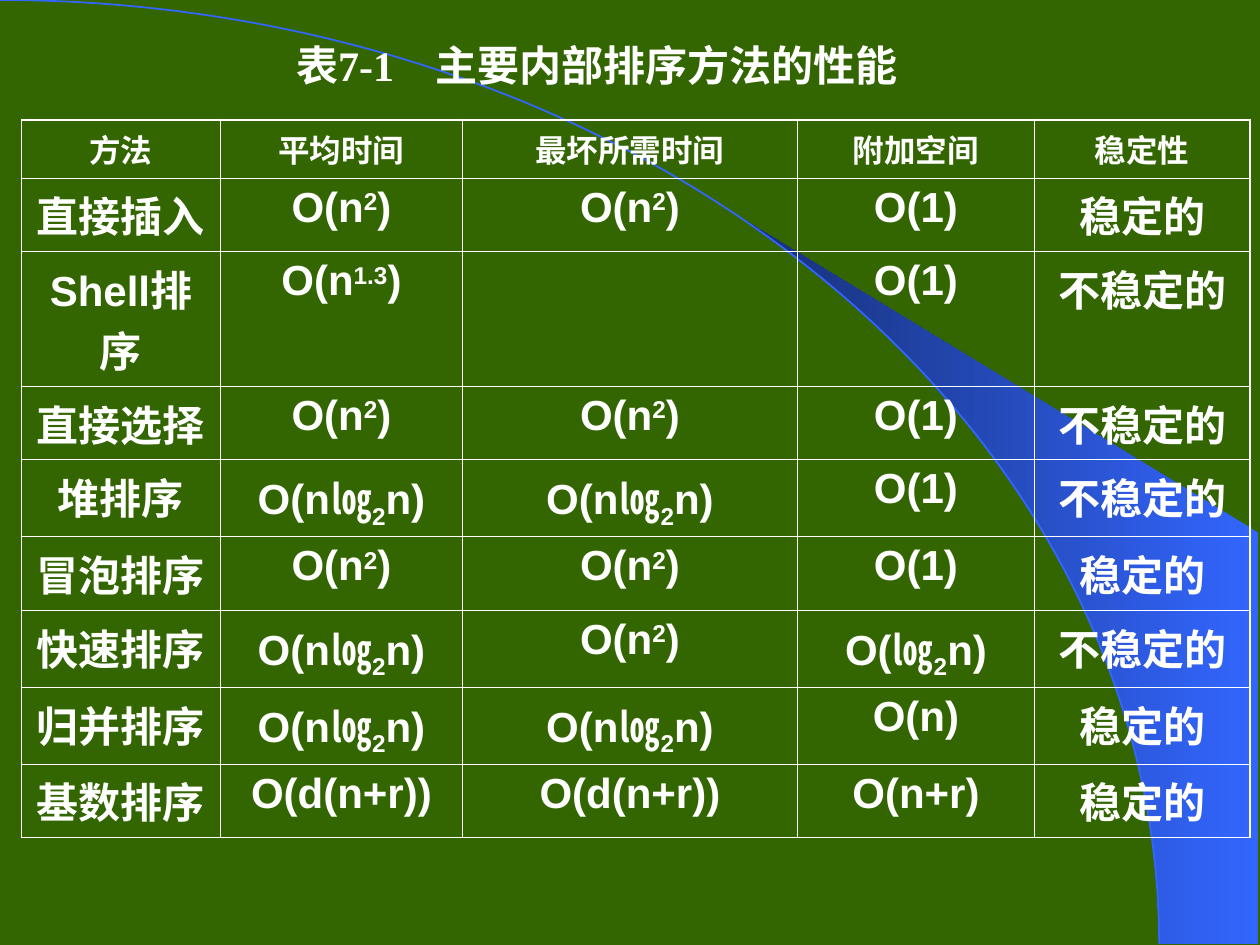
"""Build a slide that tabulates the performance of internal sorting methods."""
from dataclasses import dataclass
from math import acos, cos, sin

from lxml import etree
from pptx import Presentation
from pptx.dml.color import RGBColor
from pptx.enum.shapes import MSO_SHAPE
from pptx.enum.text import MSO_ANCHOR, MSO_AUTO_SIZE, PP_ALIGN
from pptx.oxml.ns import qn
from pptx.util import Inches, Pt

ARC = MSO_SHAPE.ARC
CENTER, LEFT = PP_ALIGN.CENTER, PP_ALIGN.LEFT
MIDDLE = MSO_ANCHOR.MIDDLE
NO_AUTOFIT = MSO_AUTO_SIZE.NONE

COLORS = {"ground": "336600", "blue": "3366FF", "navy": "172F75", "white": "FFFFFF"}
PAGE_WIDTH, PAGE_HEIGHT = 10, 7.5
ARC_WIDTH, ARC_HEIGHT = 9.2, 7.49
WEDGE_START, WEDGE_RIGHT, WEDGE_TOP = 5.89, 9.99, 4.23
WEDGE_STEPS = 16
TITLE_TAB = 1.11
OUTER_LINE, INNER_LINE = 1.08, 0.45
COLUMN_WIDTHS = [1.58, 1.92, 2.66, 1.88, 1.71]
ROW_HEIGHTS = [0.4, 0.5, 0.9, 0.5, 0.56, 0.5, 0.56, 0.56, 0.5]


@dataclass(frozen=True)
class Span:
    """A piece of text with its baseline shift in percent."""

    text: str
    shift: int = 0


Cell = tuple[Span, ...]


def plain(text: str) -> Cell:
    """Return cell content without shifted text."""
    return (Span(text),)


def power(exponent: str) -> Cell:
    """Return the order of a power of n."""
    return Span("O(n"), Span(exponent, 28), Span(")")


def logarithm(factor: str = "") -> Cell:
    """Return the order of a binary logarithm with a factor."""
    return Span(f"O({factor}㏒"), Span("2", -25), Span("n)")


SQUARE, N_LOG, CONSTANT = power("2"), logarithm("n"), plain("O(1)")
DIGITS = plain("O(d(n+r))")
STABLE, UNSTABLE = plain("稳定的"), plain("不稳定的")
ROWS: list[tuple[Cell, ...]] = [
    tuple(map(plain, ("方法", "平均时间", "最坏所需时间", "附加空间", "稳定性"))),
    (plain("直接插入"), SQUARE, SQUARE, CONSTANT, STABLE),
    (plain("Shell排序"), power("1.3"), (), CONSTANT, UNSTABLE),
    (plain("直接选择"), SQUARE, SQUARE, CONSTANT, UNSTABLE),
    (plain("堆排序"), N_LOG, N_LOG, CONSTANT, UNSTABLE),
    (plain("冒泡排序"), SQUARE, SQUARE, CONSTANT, STABLE),
    (plain("快速排序"), N_LOG, SQUARE, logarithm(), UNSTABLE),
    (plain("归并排序"), N_LOG, N_LOG, plain("O(n)"), STABLE),
    (plain("基数排序"), DIGITS, DIGITS, plain("O(n+r)"), STABLE),
]


def color(name: str) -> RGBColor:
    """Look up a palette colour."""
    return RGBColor.from_string(COLORS[name])


def format_font(font, name: str, size: int) -> None:
    """Apply the bold white text style."""
    for key, value in {"name": name, "size": Pt(size), "bold": True}.items():
        setattr(font, key, value)
    font.color.rgb = color("white")


def draw_wedge(page) -> None:
    """Draw the gradient area between the arc and the right edge."""
    first = acos(WEDGE_START / ARC_WIDTH)
    angles = [first * (1 - step / WEDGE_STEPS) for step in range(WEDGE_STEPS + 1)]
    curve = [(ARC_WIDTH * cos(angle), ARC_HEIGHT * (1 - sin(angle))) for angle in angles]
    corners = [(WEDGE_RIGHT, ARC_HEIGHT), (WEDGE_RIGHT, WEDGE_TOP)]
    points = [(Inches(x), Inches(y)) for x, y in curve + corners]
    builder = page.shapes.build_freeform(*points[0])
    builder.add_line_segments(points[1:], close=True)
    wedge = builder.convert_to_shape()
    wedge.shadow.inherit = False
    wedge.line.fill.background()
    wedge.fill.gradient()
    wedge.fill.gradient_angle = 180
    for stop, name, position in zip(wedge.fill.gradient_stops, ("blue", "navy"), (0, 1)):
        stop.color.rgb = color(name)
        stop.position = position


def draw_arc(page) -> None:
    """Draw the quarter ellipse that sweeps over the page."""
    arc = page.shapes.add_shape(
        ARC, Inches(-ARC_WIDTH), 0, Inches(2 * ARC_WIDTH), Inches(2 * ARC_HEIGHT)
    )
    arc.shadow.inherit = False
    arc.fill.background()
    arc.line.color.rgb = color("blue")
    arc.line.width = Pt(1)


def draw_border(cell, side: str, width: float) -> None:
    """Add one white border line to a table cell."""
    properties = cell._tc.get_or_add_tcPr()
    line = etree.SubElement(properties, qn(f"a:ln{side}"), w=str(Pt(width)))
    fill = etree.SubElement(line, qn("a:solidFill"))
    etree.SubElement(fill, qn("a:srgbClr"), val=COLORS["white"])


def write_cell(cell, spans: Cell, size: int) -> None:
    """Write centred spans into a table cell."""
    para = cell.text_frame.paragraphs[0]
    para.alignment = CENTER
    for span in spans:
        run = para.add_run()
        run.text = span.text
        format_font(run.font, "Arial", size)
        if span.shift:
            run.font._element.set("baseline", str(span.shift * 1000))


def draw_table(page) -> None:
    """Draw the table of sorting methods."""
    frame = page.shapes.add_table(
        len(ROWS), len(COLUMN_WIDTHS), Inches(0.17), Inches(0.95),
        Inches(sum(COLUMN_WIDTHS)), Inches(sum(ROW_HEIGHTS)),
    )
    table = frame.table
    table.first_row = table.horz_banding = False
    for column, width in zip(table.columns, COLUMN_WIDTHS):
        column.width = Inches(width)
    last_row, last_column = len(ROWS) - 1, len(COLUMN_WIDTHS) - 1
    for r, (cells, height) in enumerate(zip(ROWS, ROW_HEIGHTS)):
        table.rows[r].height = Inches(height)
        for c, spans in enumerate(cells):
            cell = table.cell(r, c)
            outer = {"L": c == 0, "R": c == last_column, "T": r == 0, "B": r == last_row}
            for side, is_outer in outer.items():
                draw_border(cell, side, OUTER_LINE if is_outer else INNER_LINE)
            cell.fill.background()
            write_cell(cell, spans, 24 if r else 18)


def write_title(page) -> None:
    """Place and format the title in front of the background."""
    title = page.shapes.title
    page.shapes._spTree.append(title._element)
    place = {"left": 2.25, "top": 0.28, "width": 4.96, "height": 0.47}
    for key, value in place.items():
        setattr(title, key, Inches(value))
    box = title.text_frame
    settings = {
        "auto_size": NO_AUTOFIT, "word_wrap": False,
        "vertical_anchor": MIDDLE, "margin_right": 0,
    }
    for key, value in settings.items():
        setattr(box, key, value)
    para = box.paragraphs[0]
    para.alignment = LEFT
    tabs = etree.SubElement(para._p.get_or_add_pPr(), qn("a:tabLst"))
    etree.SubElement(tabs, qn("a:tab"), pos=str(Inches(TITLE_TAB)), algn="l")
    run = para.add_run()
    run.text = "表7-1\t主要内部排序方法的性能"
    format_font(run.font, "Times New Roman", 24)


def main() -> None:
    """Build and save the deck."""
    deck = Presentation()
    deck.slide_width, deck.slide_height = Inches(PAGE_WIDTH), Inches(PAGE_HEIGHT)
    page = deck.slides.add_slide(deck.slide_layouts[5])
    page.background.fill.solid()
    page.background.fill.fore_color.rgb = color("ground")
    draw_wedge(page)
    draw_arc(page)
    draw_table(page)
    write_title(page)
    deck.save("out.pptx")


if __name__ == "__main__":
    main()
